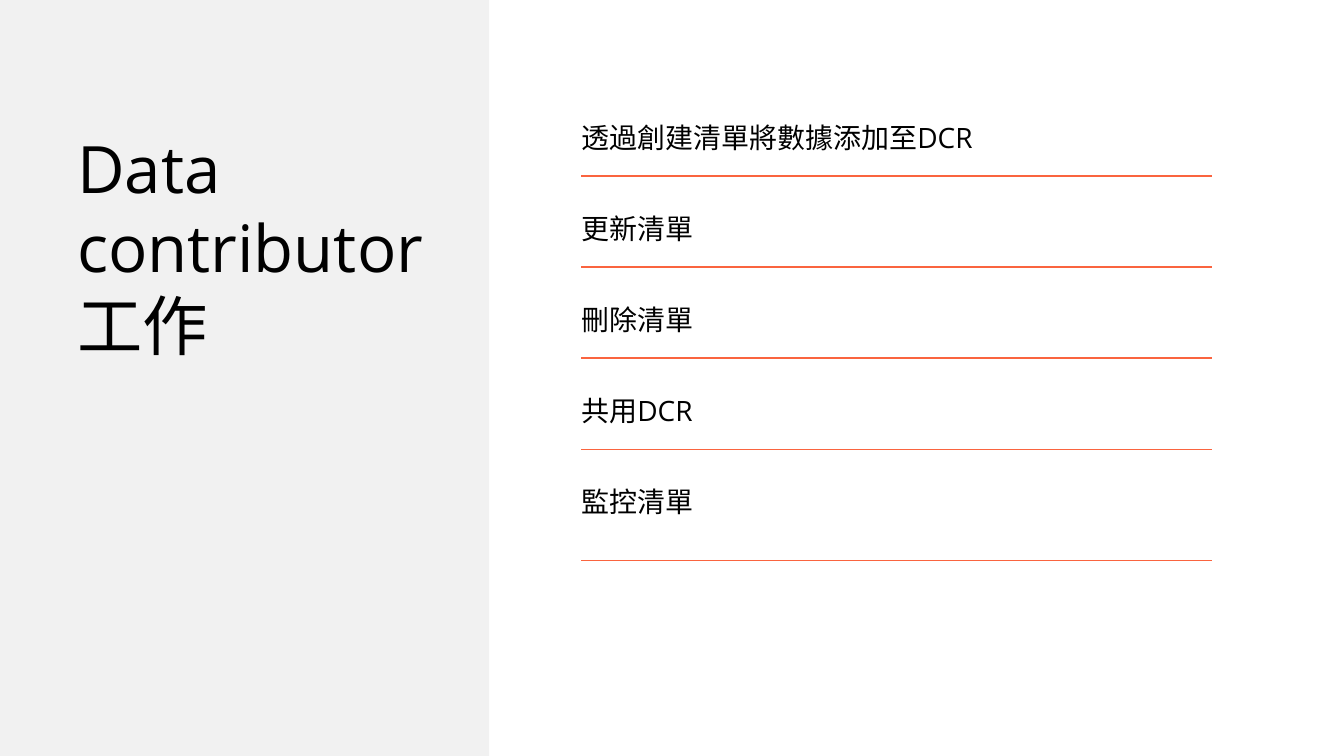
from dataclasses import dataclass

from lxml.etree import SubElement
from pptx import Presentation
from pptx.dml.color import RGBColor
from pptx.enum.shapes import MSO_CONNECTOR, MSO_SHAPE
from pptx.oxml.ns import qn
from pptx.util import Inches, Pt


@dataclass(frozen=True)
class Theme:
    font: str = "Open Sans"
    text: RGBColor = RGBColor(0x00, 0x00, 0x00)
    panel: RGBColor = RGBColor(0xF1, 0xF1, 0xF1)
    rule: RGBColor = RGBColor(0xFA, 0x64, 0x3F)
    title_size: int = 70
    task_size: int = 30


theme = Theme()

presentation = Presentation()
presentation.slide_width = Inches(20)
presentation.slide_height = Inches(11.25)
slide = presentation.slides.add_slide(presentation.slide_layouts[6])


def add_text(text, *, left, top, width, height, size):
    shape = slide.shapes.add_textbox(Inches(left), Inches(top), Inches(width), Inches(height))
    frame = shape.text_frame
    frame.word_wrap = True
    frame.margin_left = frame.margin_right = frame.margin_top = frame.margin_bottom = 0
    paragraph = frame.paragraphs[0]
    paragraph.line_spacing = Pt(size * 1.2)
    run = paragraph.add_run()
    run.text = text
    run.font.name = theme.font
    run.font.size = Pt(size)
    run.font.color.rgb = theme.text


panel = slide.shapes.add_shape(MSO_SHAPE.RECTANGLE, 0, 0, Inches(7.28), presentation.slide_height)
panel.shadow.inherit = False
panel.fill.solid()
panel.fill.fore_color.rgb = theme.panel
panel.line.fill.background()

add_text("Data contributor 工作", left=1.15, top=1.91, width=6.13, height=4.61, size=theme.title_size)

tasks = ["透過創建清單將數據添加至DCR", "更新清單", "刪除清單", "共用DCR", "監控清單"]
task_left, task_width = 8.65, 9.39
first_top, last_top = 1.79, 7.21
pitch = (last_top - first_top) / (len(tasks) - 1)
rule_offset, last_rule_offset = 0.83, 1.13

for index, task in enumerate(tasks):
    top = first_top + index * pitch
    add_text(task, left=task_left, top=top, width=task_width, height=0.51, size=theme.task_size)

    rule_y = Inches(top + (last_rule_offset if index == len(tasks) - 1 else rule_offset))
    rule = slide.shapes.add_connector(
        MSO_CONNECTOR.STRAIGHT, Inches(task_left), rule_y, Inches(task_left + task_width), rule_y
    )
    rule.line.color.rgb = theme.rule
    rule.line.width = Pt(1.5)
    SubElement(rule._element.spPr, qn("a:effectLst"))

presentation.save("out.pptx")
